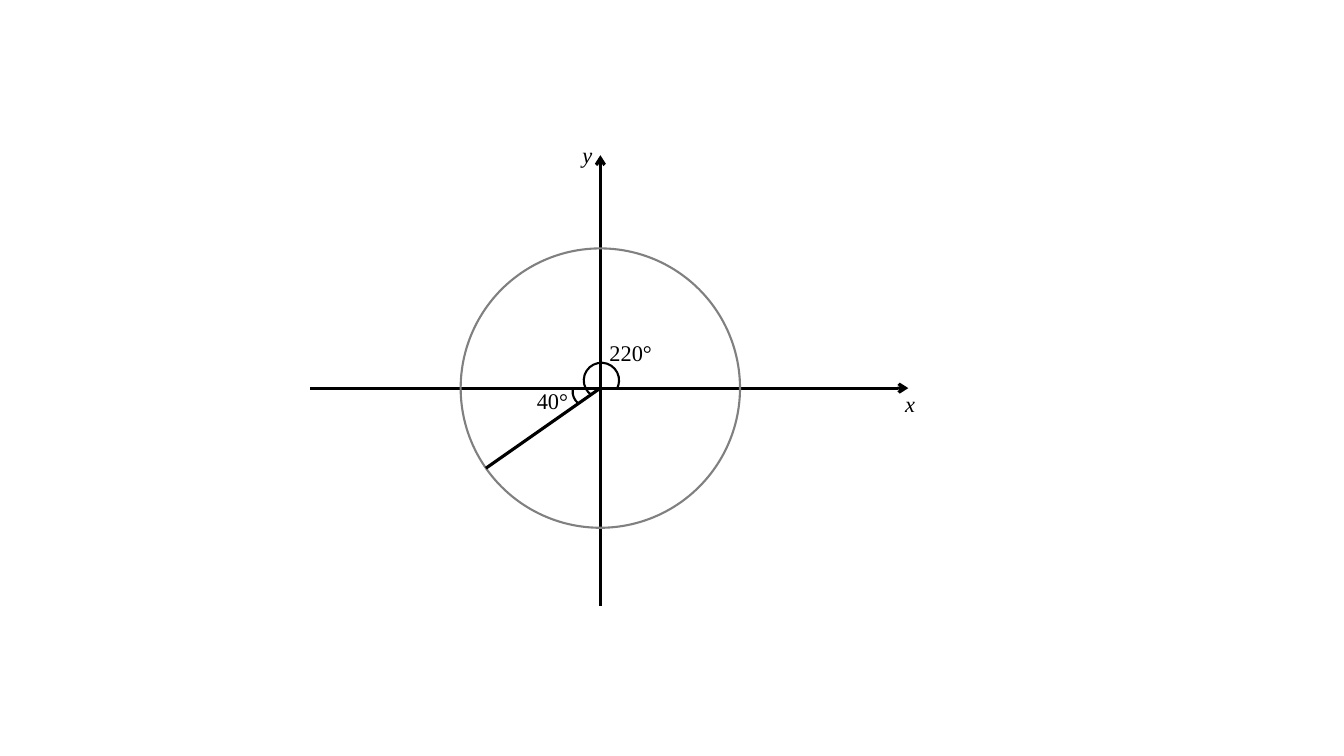
from math import cos, radians, sin

from pptx import Presentation
from pptx import util as u
from pptx.dml.color import RGBColor
from pptx.enum import shapes, text
from pptx.oxml.ns import qn
from lxml import etree


class Theme:
    font = "Times New Roman"
    ink = RGBColor(0x00, 0x00, 0x00)
    circle = RGBColor(0x80, 0x80, 0x80)
    label_size = u.Pt(16)
    thick = u.Pt(2.25)
    thin = u.Pt(1.5)


def add_label(parent, content, x, y, width, italic=False):
    """Place a one-line label; lengths are in centimetres."""
    box = parent.add_textbox(u.Cm(x), u.Cm(y), u.Cm(width), u.Cm(0.94))
    tf = box.text_frame
    tf.word_wrap = True
    tf.auto_size = text.MSO_AUTO_SIZE.SHAPE_TO_FIT_TEXT
    r = tf.paragraphs[0].add_run()
    r.text = content
    r.font.name = Theme.font
    r.font.size = Theme.label_size
    r.font.italic = italic
    r.font.color.rgb = Theme.ink


def add_line(parent, start, end, arrow=False):
    """Draw a thick straight line, with an arrowhead at its end if asked."""
    line = parent.add_connector(shapes.MSO_CONNECTOR.STRAIGHT,
                                *map(u.Cm, start + end))
    line.line.color.rgb = Theme.ink
    line.line.width = Theme.thick
    if arrow:
        ln = line.line._get_or_add_ln()
        etree.SubElement(ln, qn("a:tailEnd"), type="arrow")
    etree.SubElement(line._element.spPr, qn("a:effectLst"))


prs = Presentation()
prs.slide_width, prs.slide_height = u.Cm(33.87), u.Cm(19.05)
s = prs.slides.add_slide(prs.slide_layouts[6])

# Geometry in centimetres
origin_x, origin_y = 15.13, 9.78
radius = 3.52
ray_angle = radians(35)

# Axes with their names
axes = s.shapes.add_group_shape().shapes
add_line(axes, (origin_x, 15.27), (origin_x, 3.91), arrow=True)
add_line(axes, (7.82, origin_y), (22.89, origin_y), arrow=True)
add_label(axes, "x", 22.56, 9.7, 0.69, italic=True)
add_label(axes, "y", 14.43, 3.43, 0.69, italic=True)

# Circle around the origin
circle = s.shapes.add_shape(
    shapes.MSO_SHAPE.OVAL, u.Cm(origin_x - radius), u.Cm(origin_y - radius),
    u.Cm(2 * radius), u.Cm(2 * radius))
circle.shadow.inherit = False
circle.fill.background()
circle.line.color.rgb = Theme.circle
circle.line.width = Theme.thin

# Terminal side of the angle
add_line(s.shapes, (origin_x, origin_y),
         (origin_x - radius * cos(ray_angle), origin_y + radius * sin(ray_angle)))

# Angle arcs: left, top, size, rotation, end of sweep
for x, y, size, rotation, sweep_end in (
        (14.43, 9.5, 0.74, 218.1, 196.77),
        (14.71, 9.14, 0.89, 213.4, 104.87)):
    arc = s.shapes.add_shape(shapes.MSO_SHAPE.ARC,
                             u.Cm(x), u.Cm(y), u.Cm(size), u.Cm(size))
    arc.adjustments[0] = 162
    arc.adjustments[1] = sweep_end
    arc.rotation = rotation
    arc.shadow.inherit = False
    arc.fill.background()
    arc.line.color.rgb = Theme.ink
    arc.line.width = Theme.thin

# Angle values
add_label(s.shapes, "40°", 13.28, 9.63, 1.35)
add_label(s.shapes, "220°", 15.11, 8.41, 1.68)

prs.save("out.pptx")
